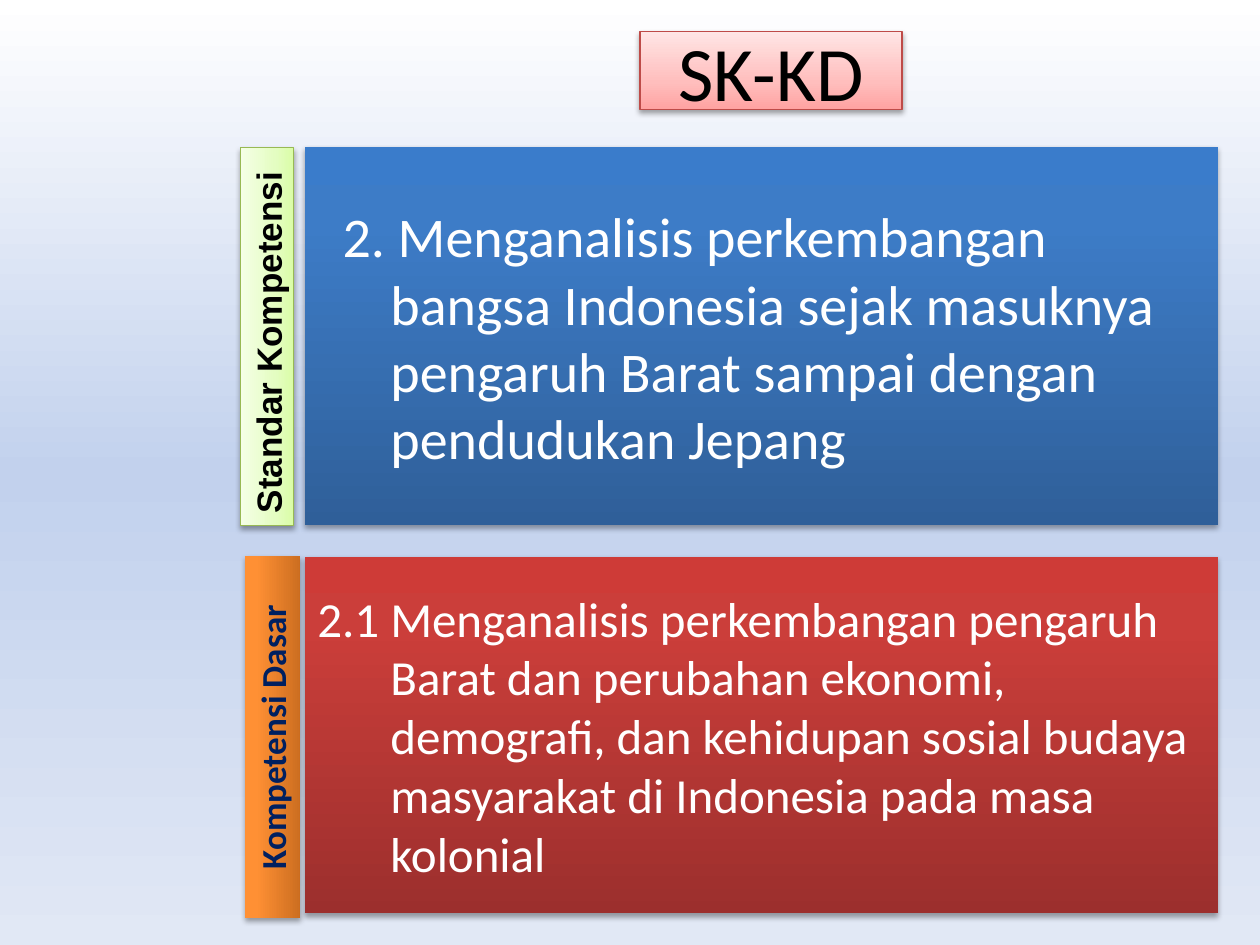
from dataclasses import dataclass
from typing import Optional

import pptx
import pptx.dml.color
import pptx.enum.shapes
import pptx.enum.text
import pptx.oxml
import pptx.oxml.ns
import pptx.util
from pptx.dml.color import RGBColor
from pptx.enum.text import MSO_ANCHOR, MSO_AUTO_SIZE, PP_ALIGN
from pptx.util import Inches

BLACK = RGBColor(0x00, 0x00, 0x00)
WHITE = RGBColor(0xFF, 0xFF, 0xFF)
NAVY = RGBColor(0x00, 0x20, 0x60)
RED_LINE = RGBColor(0xBE, 0x4B, 0x48)
GREEN_LINE = RGBColor(0x98, 0xB9, 0x54)


@dataclass(frozen=True)
class Gradient:
    stops: tuple[tuple[int, RGBColor], ...]
    angle: int = 270


def shades(middle: int, *colours: str) -> Gradient:
    positions = (0, middle, 100)
    return Gradient(tuple(zip(positions, map(RGBColor.from_string, colours))))


BACKGROUND = Gradient(shades(50, "FFFFFF", "C2D1ED", "E1E8F5").stops, 90)
PINK = shades(35, "FFA2A1", "FFBEBD", "FFE5E5")
GREEN = shades(35, "DAFDA7", "E4FDC2", "F5FFE6")
ORANGE = shades(80, "CC6E20", "FF9034", "FF9136")
BLUE = shades(80, "2F5F99", "3D7CC7", "3A7CCB")
RED = shades(80, "9C2F2D", "CB3E3A", "CE3B37")


@dataclass(frozen=True)
class Panel:
    text: str
    box: tuple[float, float, float, float]
    gradient: Gradient
    size: int
    colour: RGBColor = WHITE
    font: str = "Calibri"
    bold: bool = False
    rotation: int = 0
    line: Optional[RGBColor] = None
    anchor: MSO_ANCHOR = MSO_ANCHOR.MIDDLE
    align: PP_ALIGN = PP_ALIGN.LEFT
    margin: float = 0
    indent: float = 0
    space_before: int = 0
    auto_size: MSO_AUTO_SIZE = MSO_AUTO_SIZE.NONE


TITLE = Panel("SK-KD", (5.08, 0.25, 2.08, 0.62), PINK, 44, BLACK,
              line=RED_LINE, align=PP_ALIGN.CENTER)
PANELS = (
    Panel("Standar Kompetensi", (0.62, 2.46, 3, 0.42), GREEN, 20, BLACK,
          font="Arial", bold=True, rotation=270, line=GREEN_LINE,
          anchor=MSO_ANCHOR.TOP, margin=0.38, indent=-0.38, space_before=4),
    Panel("Kompetensi Dasar", (0.73, 5.63, 2.87, 0.44), ORANGE, 20, NAVY,
          bold=True, rotation=270, anchor=MSO_ANCHOR.TOP,
          align=PP_ALIGN.CENTER, auto_size=MSO_AUTO_SIZE.SHAPE_TO_FIT_TEXT),
    Panel("2. Menganalisis perkembangan bangsa Indonesia sejak masuknya "
          "pengaruh Barat sampai dengan pendudukan Jepang",
          (2.42, 1.17, 7.25, 3), BLUE, 32, margin=0.58, indent=-0.38),
    Panel("2.1 Menganalisis perkembangan pengaruh Barat dan perubahan ekonomi, "
          "demografi, dan kehidupan sosial budaya masyarakat di Indonesia "
          "pada masa kolonial",
          (2.42, 4.42, 7.25, 2.83), RED, 28, margin=0.58, indent=-0.58),
)


def apply_gradient(fill, parent, gradient: Gradient) -> None:
    fill.gradient()
    element = parent.find(".//" + pptx.oxml.ns.qn("a:gradFill"))
    stops = "".join(
        f'<a:gs pos="{position * 1000}"><a:srgbClr val="{colour}"/></a:gs>'
        for position, colour in gradient.stops
    )
    replacement = pptx.oxml.parse_xml(
        f'<a:gradFill {pptx.oxml.ns.nsdecls("a")} rotWithShape="1">'
        f'<a:gsLst>{stops}</a:gsLst>'
        f'<a:lin ang="{gradient.angle * 60000}" scaled="0"/></a:gradFill>'
    )
    element.getparent().replace(element, replacement)


def add_shadow(shape) -> None:
    shape.shadow.inherit = False
    effects = shape.element.spPr.find(pptx.oxml.ns.qn("a:effectLst"))
    effects.append(pptx.oxml.parse_xml(
        f'<a:outerShdw {pptx.oxml.ns.nsdecls("a")} blurRad="40000" '
        'dist="23000" dir="5400000" rotWithShape="0">'
        '<a:srgbClr val="000000"><a:alpha val="35000"/></a:srgbClr>'
        '</a:outerShdw>'
    ))


def format_panel(shape, panel: Panel) -> None:
    shape.left, shape.top, shape.width, shape.height = map(Inches, panel.box)
    shape.rotation = panel.rotation
    apply_gradient(shape.fill, shape.element.spPr, panel.gradient)
    if panel.line is None:
        shape.line.fill.background()
    else:
        shape.line.color.rgb = panel.line
        shape.line.width = pptx.util.Pt(0.75)
    add_shadow(shape)

    frame = shape.text_frame
    frame.text = panel.text
    frame.word_wrap = True
    frame.auto_size = panel.auto_size
    frame.vertical_anchor = panel.anchor
    paragraph = frame.paragraphs[0]
    paragraph.alignment = panel.align
    paragraph.space_before = pptx.util.Pt(panel.space_before)
    paragraph.font.name = panel.font
    paragraph.font.size = pptx.util.Pt(panel.size)
    paragraph.font.bold = panel.bold
    paragraph.font.color.rgb = panel.colour
    properties = paragraph._p.get_or_add_pPr()
    properties.set("marL", str(Inches(panel.margin)))
    properties.set("indent", str(Inches(panel.indent)))


def add_panel(slide, panel: Panel) -> None:
    shape = slide.shapes.add_shape(
        pptx.enum.shapes.MSO_SHAPE.RECTANGLE, *map(Inches, panel.box)
    )
    format_panel(shape, panel)


def main() -> None:
    presentation = pptx.Presentation()
    presentation.slide_width = Inches(10)
    presentation.slide_height = Inches(7.5)
    slide = presentation.slides.add_slide(presentation.slide_layouts[5])
    apply_gradient(slide.background.fill, slide.element, BACKGROUND)
    format_panel(slide.shapes.title, TITLE)
    for panel in PANELS:
        add_panel(slide, panel)
    presentation.save("out.pptx")


if __name__ == "__main__":
    main()
